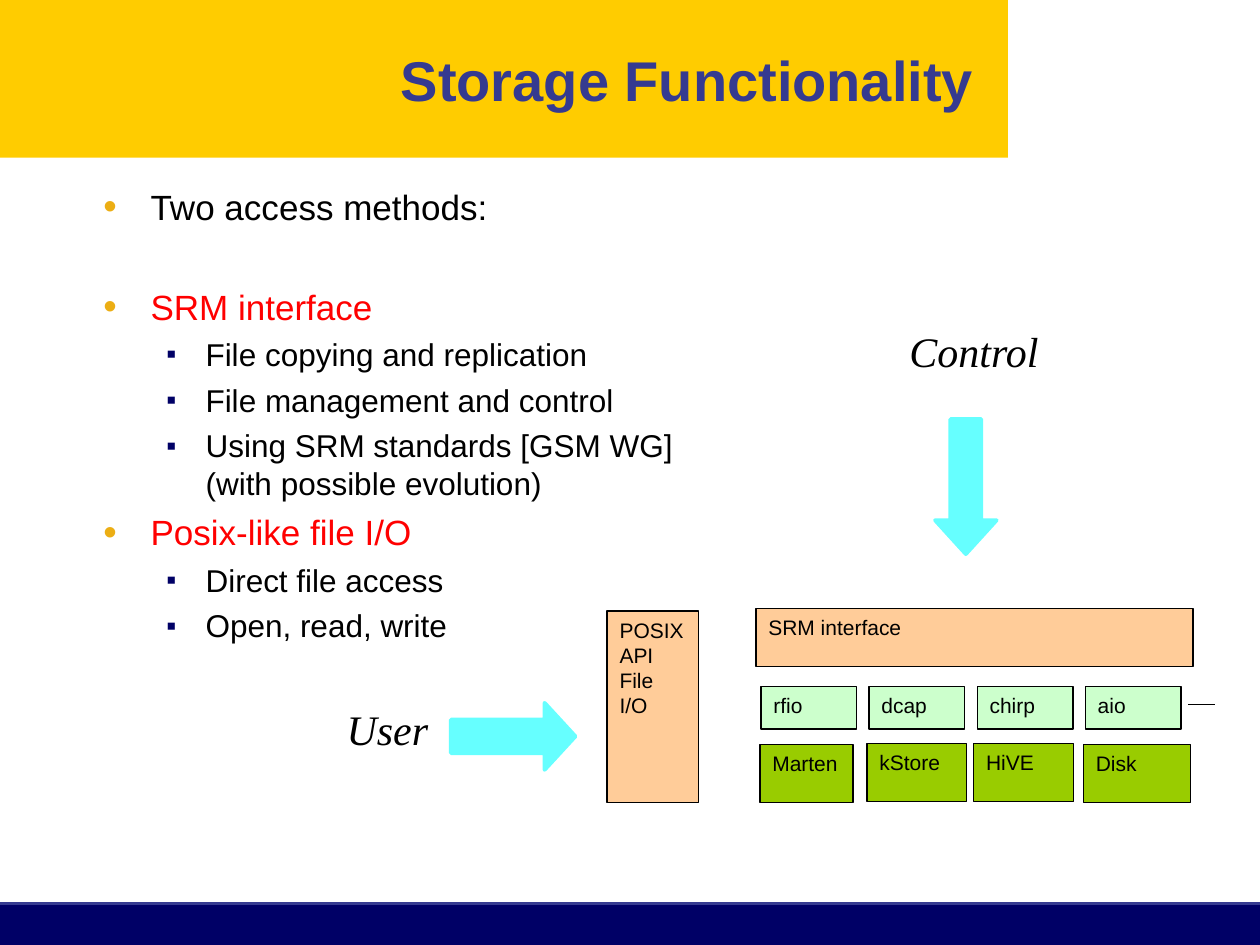
import pptx
import pptx.dml.color
import pptx.enum.shapes
import pptx.enum.text
import pptx.oxml.ns
import pptx.util
from lxml import etree

Cm, Pt = pptx.util.Cm, pptx.util.Pt
RGBColor = pptx.dml.color.RGBColor
SHAPE = pptx.enum.shapes.MSO_SHAPE
ALIGN = pptx.enum.text.PP_ALIGN
ANCHOR = pptx.enum.text.MSO_ANCHOR
AUTO_SIZE = pptx.enum.text.MSO_AUTO_SIZE
qn = pptx.oxml.ns.qn

BLACK = RGBColor(0x00, 0x00, 0x00)
RED = RGBColor(0xFF, 0x00, 0x00)
NAVY = RGBColor(0x00, 0x00, 0x66)
INDIGO = RGBColor(0x35, 0x3A, 0x90)
YELLOW = RGBColor(0xFF, 0xCC, 0x00)
AMBER = RGBColor(0xEC, 0xAE, 0x14)
PEACH = RGBColor(0xFF, 0xCC, 0x99)
MINT = RGBColor(0xCC, 0xFF, 0xCC)
GREEN = RGBColor(0x99, 0xCC, 0x00)
CYAN = RGBColor(0x66, 0xFF, 0xFF)


def add_block(kind, left, top, width, height, fill, outline=None, weight=0.75):
    block = slide.shapes.add_shape(kind, Cm(left), Cm(top), Cm(width), Cm(height))
    block.shadow.inherit = False
    block.fill.solid()
    block.fill.fore_color.rgb = fill
    if outline is None:
        block.line.fill.background()
    else:
        block.line.color.rgb = outline
        block.line.width = Pt(weight)
    return block


def write(paragraph, text, size, color=BLACK, font="Arial"):
    """Add one run per line of text, with line breaks between them."""
    for number, line in enumerate(text.split("\n")):
        if number:
            paragraph.add_line_break()
        run = paragraph.add_run()
        run.text = line
        run.font.name = font
        run.font.size = Pt(size)
        run.font.color.rgb = color
        run.font.bold = color == INDIGO
        run.font.italic = font == "Times New Roman"


prs = pptx.Presentation()
prs.slide_width, prs.slide_height = Cm(25.4), Cm(19.05)
slide = prs.slides.add_slide(prs.slide_layouts[1])

# Bands behind the title and at the foot
add_block(SHAPE.RECTANGLE, 0, 18.21, 25.4, 0.84, NAVY)
add_block(SHAPE.RECTANGLE, 0, 0, 20.32, 3.18, YELLOW)

# Foot rule, and the dash that continues the row of protocols
for start, end, y, color, weight in [
    (0, 25.4, 18.21, INDIGO, 1.5),
    (23.95, 24.49, 14.2, BLACK, 0.75),
]:
    rule = slide.shapes.add_connector(
        pptx.enum.shapes.MSO_CONNECTOR.STRAIGHT, Cm(start), Cm(y), Cm(end), Cm(y)
    )
    rule.line.color.rgb = color
    rule.line.width = Pt(weight)
    etree.SubElement(rule.element.spPr, qn("a:effectLst"))

# Title and list stand in front of the bands
title, body = slide.shapes.title, slide.placeholders[1]
for placeholder, left, top, width, height in [
    (title, 0.2, 0.64, 19.69, 1.91),
    (body, 1.83, 3.61, 20.29, 11.96),
]:
    slide.shapes.element.append(placeholder.element)
    placeholder.left, placeholder.top = Cm(left), Cm(top)
    placeholder.width, placeholder.height = Cm(width), Cm(height)
    placeholder.text_frame.auto_size = AUTO_SIZE.NONE

heading = title.text_frame.paragraphs[0]
heading.alignment = ALIGN.RIGHT
write(heading, "Storage Functionality", 32, INDIGO)

# Per level: text size, indent, hanging, bullet, bullet colour, bullet percent
levels = [
    (20, 0.95, 0.95, "•", AMBER, 110),
    (18, 2.06, 0.79, "▪", NAVY, 90),
]
access_methods = [
    (0, "Two access methods:", BLACK, 5),
    (0, "SRM interface", RED, 33),
    (1, "File copying and replication", BLACK, 4.5),
    (1, "File management and control", BLACK, 4.5),
    (1, "Using SRM standards [GSM WG]\n(with possible evolution)", BLACK, 4.5),
    (0, "Posix-like file I/O", RED, 5),
    (1, "Direct file access", BLACK, 4.5),
    (1, "Open, read, write", BLACK, 4.5),
]
for number, (level, text, color, gap) in enumerate(access_methods):
    frame = body.text_frame
    item = frame.add_paragraph() if number else frame.paragraphs[0]
    size, indent, hanging, bullet, bullet_color, percent = levels[level]
    item.level = level
    item.space_before = Pt(gap)
    write(item, text, size, color)
    properties = item._p.get_or_add_pPr()
    properties.set("marL", str(Cm(indent)))
    properties.set("indent", str(-Cm(hanging)))
    bullet_fill = etree.SubElement(properties, qn("a:buClr"))
    etree.SubElement(bullet_fill, qn("a:srgbClr"), val=str(bullet_color))
    etree.SubElement(properties, qn("a:buSzPct"), val=str(percent * 1000))
    etree.SubElement(properties, qn("a:buFont"), typeface="Arial")
    etree.SubElement(properties, qn("a:buChar"), char=bullet)

# Storage stack: interfaces, then protocols, then the systems below them
protocols = [
    (15.34 + 2.18 * column, 13.84, 1.93, 0.86, MINT, [name])
    for column, name in enumerate(["rfio", "dcap", "chirp", "aio"])
]
stack = [
    (15.24, 12.27, 8.81, 1.17, PEACH, ["SRM interface"]),
    *protocols,
    (15.32, 15.01, 1.88, 1.17, GREEN, ["Marten"]),
    (17.48, 14.99, 2.01, 1.17, GREEN, ["kStore"]),
    (19.63, 14.99, 2.01, 1.17, GREEN, ["HiVE"]),
    (21.84, 15.01, 2.16, 1.17, GREEN, ["Disk"]),
    (12.24, 12.32, 1.85, 3.86, PEACH, ["POSIX\nAPI", "File I/O"]),
]
for left, top, width, height, fill, labels in stack:
    box = add_block(SHAPE.RECTANGLE, left, top, width, height, fill, BLACK)
    frame = box.text_frame
    frame.word_wrap = True
    frame.vertical_anchor = ANCHOR.TOP
    for number, label in enumerate(labels):
        line = frame.add_paragraph() if number else frame.paragraphs[0]
        line.alignment = ALIGN.LEFT
        write(line, label, 12)

# Arrows for the two ways in
for left, top, width, height, turn, head in [
    (18.11, 9.19, 2.72, 1.24, 90, 0.55),
    (9.09, 14.17, 2.51, 1.35, 0, 0.46),
]:
    arrow = add_block(SHAPE.RIGHT_ARROW, left, top, width, height, CYAN, CYAN, 2.25)
    arrow.rotation = turn
    arrow.adjustments[1] = head

for actor, left, top, width in [("Control", 18.06, 6.55, 3.15), ("User", 6.73, 14.17, 2.16)]:
    caption = slide.shapes.add_textbox(Cm(left), Cm(top), Cm(width), Cm(1.17))
    caption.text_frame.word_wrap = False
    caption.text_frame.auto_size = AUTO_SIZE.SHAPE_TO_FIT_TEXT
    line = caption.text_frame.paragraphs[0]
    line.alignment = ALIGN.CENTER
    line.line_spacing = 0.9
    write(line, actor, 24, font="Times New Roman")

prs.save("out.pptx")
